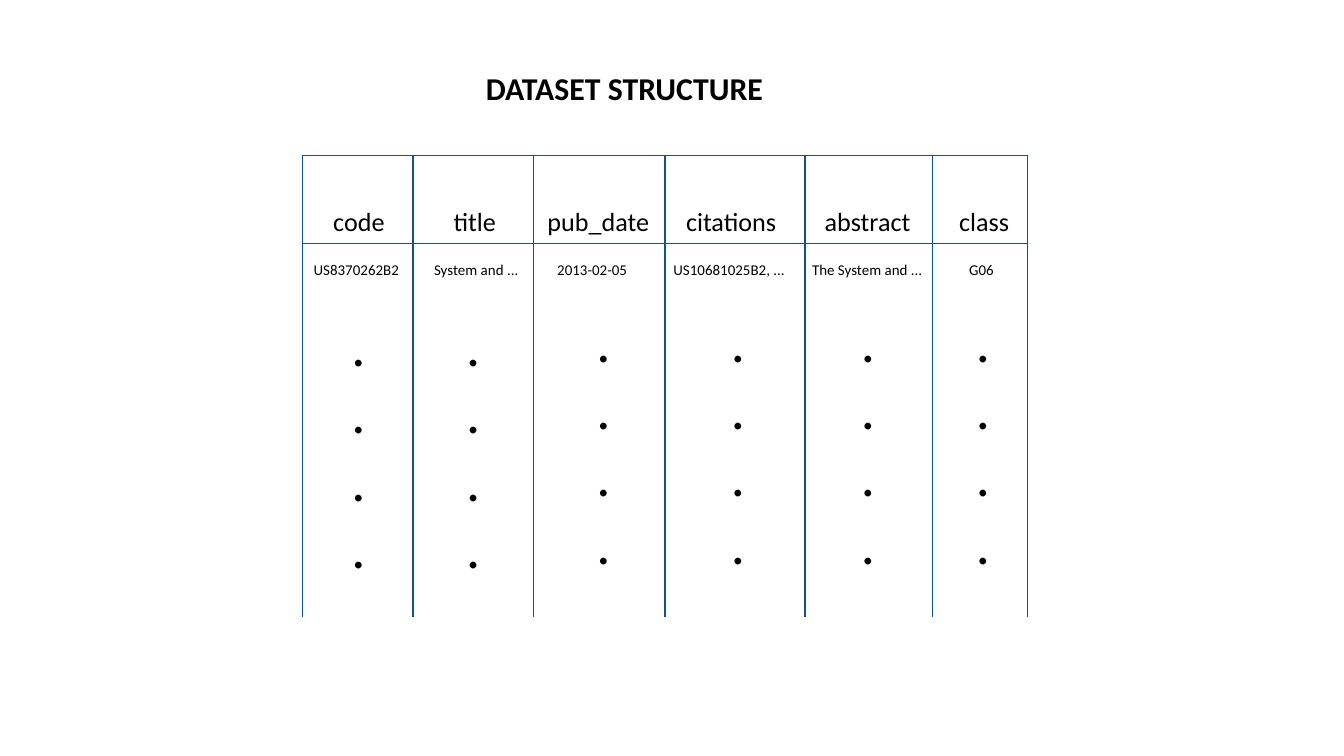
import pptx
import pptx.util
import pptx.dml.color
import pptx.enum.shapes
import pptx.enum.text
import pptx.oxml

# Content: head, head box (left, width), sample, sample box, dots (left, top)
TITLE = "DATASET STRUCTURE"
COLUMNS = [
    ("code", (228, 74), "US8370262B2", (214, 102), (241, 212)),
    ("title", (314, 94), "System and ...", (300, 102), (323, 212)),
    ("pub_date", (381, 116), "2013-02-05", (388, 94), (416, 209)),
    ("citations", (480, 116), "US10681025B2, ...", (471, 102), (512, 209)),
    ("abstract", (579, 116), "The System and ...", (570, 111), (605, 209)),
    ("class", (675, 116), "G06", (659, 84), (687, 209)),
]
DOTS = ["."] * 4
COLORS = {"text": "000000", "rule": "0B5394"}

# Grid in px, 96 to the inch
PX = 9525
EDGES = [216, 295, 381, 475, 575, 666, 734]
TOP, MID, END = 111, 174, 441
INSET = 10

ALIGN = pptx.enum.text.PP_ALIGN
SIZING = pptx.enum.text.MSO_AUTO_SIZE


def color(key):
    return pptx.dml.color.RGBColor.from_string(COLORS[key])


def write(shape, lines, size, bold=False, align=ALIGN.LEFT):
    frame = shape.text_frame
    frame.word_wrap = True
    frame.vertical_anchor = pptx.enum.text.MSO_ANCHOR.TOP
    frame.auto_size = SIZING.SHAPE_TO_FIT_TEXT
    frame.margin_left = frame.margin_right = INSET * PX
    frame.margin_top = frame.margin_bottom = INSET * PX
    for i, line in enumerate(lines):
        para = frame.paragraphs[0] if i == 0 else frame.add_paragraph()
        para.alignment = align
        run = para.add_run()
        run.text = line
        run.font.name = "Calibri"
        run.font.size = pptx.util.Pt(size)
        run.font.bold = bold
        run.font.color.rgb = color("text")


def label(slide, box, lines, size, align=ALIGN.LEFT):
    shape = slide.shapes.add_textbox(*[n * PX for n in box])
    write(shape, lines, size, align=align)


def rule(slide, *ends):
    line = slide.shapes.add_connector(
        pptx.enum.shapes.MSO_CONNECTOR.STRAIGHT, *[n * PX for n in ends])
    line.line.color.rgb = color("rule")
    line.line.width = pptx.util.Pt(0.75)
    props = line._element.spPr
    props.append(pptx.oxml.parse_xml(
        '<a:effectLst xmlns:a='
        '"http://schemas.openxmlformats.org/drawingml/2006/main"/>'))


def main():
    deck = pptx.Presentation()
    deck.slide_width, deck.slide_height = 960 * PX, 540 * PX
    slide = deck.slides.add_slide(deck.slide_layouts[5])

    # Title
    title = slide.shapes.title
    title.left, title.top = 337 * PX, 39 * PX
    title.width, title.height = 286 * PX, 47 * PX
    write(title, [TITLE], 17, bold=True)

    # Grid lines
    for y in (TOP, MID):
        rule(slide, EDGES[0], y, EDGES[-1], y)
    for x in EDGES:
        rule(slide, x, TOP, x, END)

    # Columns
    for head, (hx, hw), sample, (sx, sw), (dx, dy) in COLUMNS:
        align = ALIGN.CENTER if head == "class" else ALIGN.LEFT
        label(slide, (hx, 137, hw, 42), [head], 14)
        label(slide, (sx, 180, sw, 33), [sample], 8, align)
        label(slide, (dx, dy, 27, 213), DOTS, 30)

    deck.save("out.pptx")


if __name__ == "__main__":
    main()
